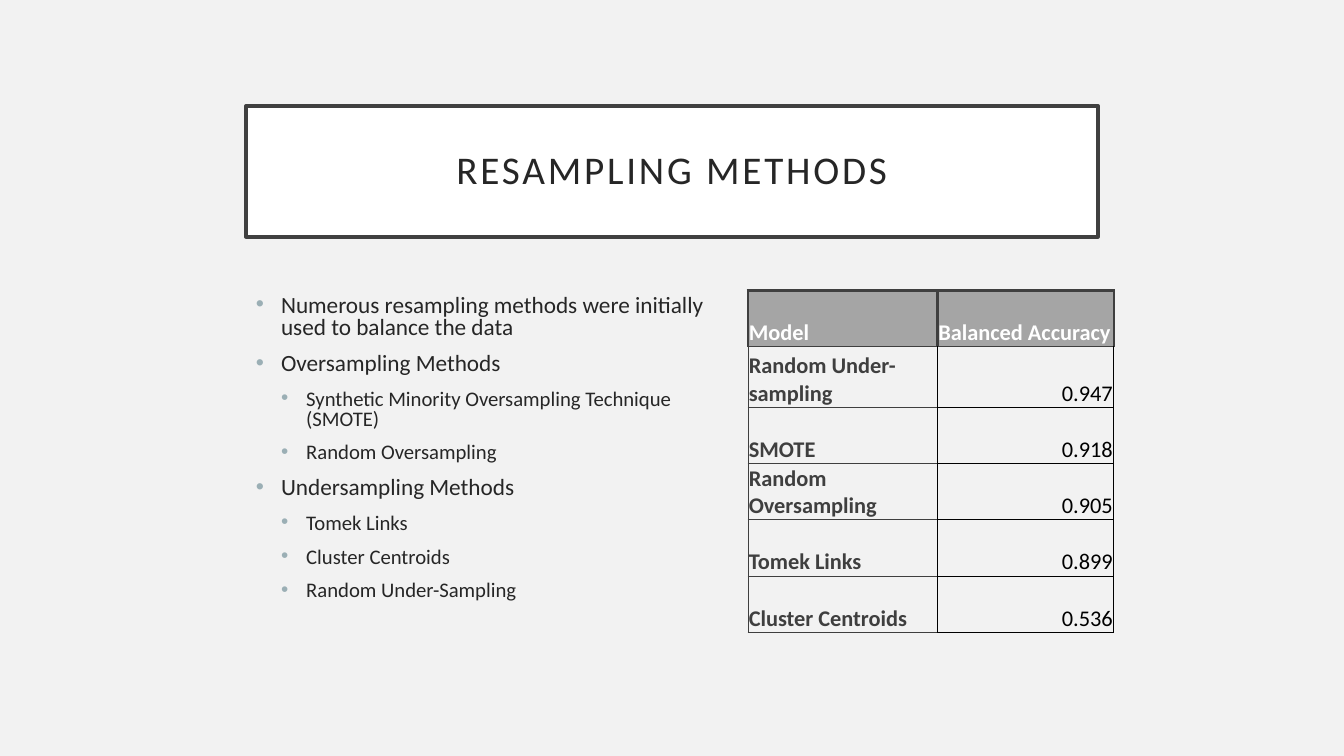
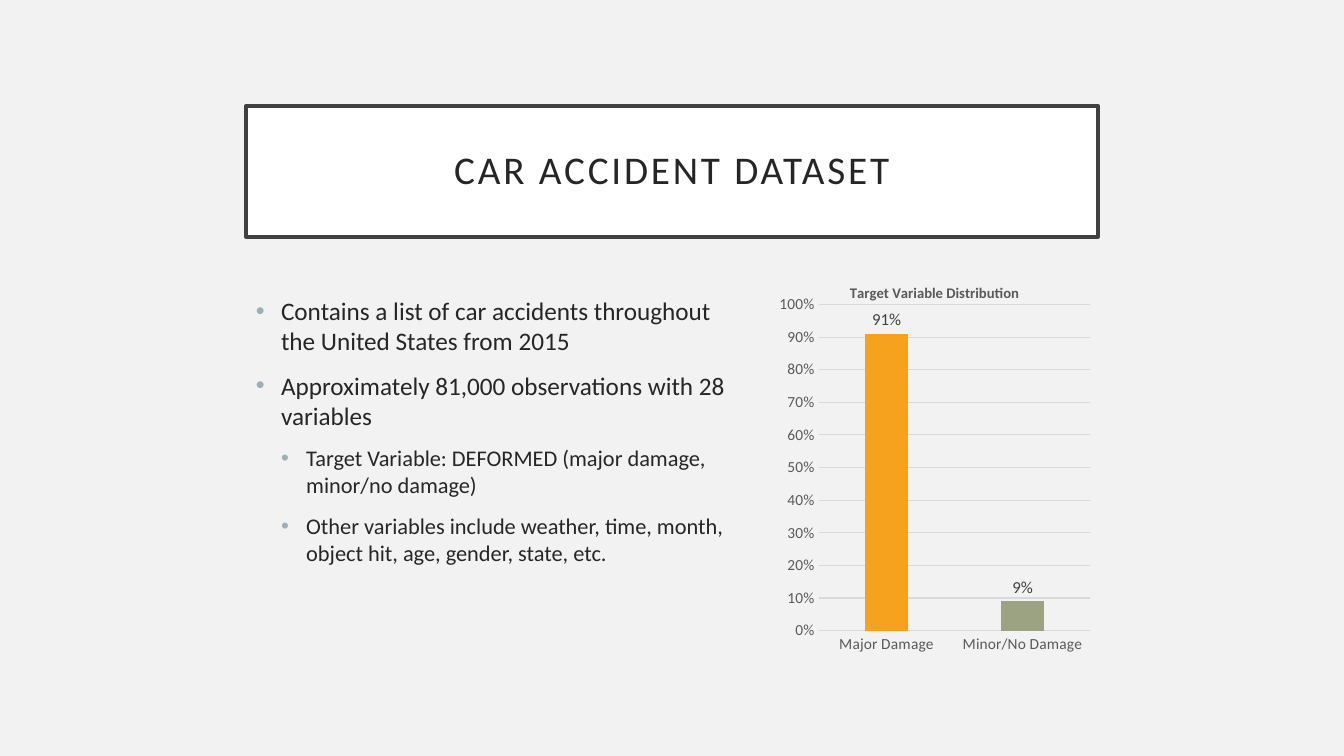
from lxml.etree import SubElement
from pptx import Presentation
from pptx.chart.data import CategoryChartData
from pptx.dml.color import RGBColor
from pptx.enum.chart import XL_CHART_TYPE, XL_LABEL_POSITION, XL_TICK_MARK
from pptx.enum.shapes import MSO_SHAPE
from pptx.enum.text import MSO_ANCHOR, PP_ALIGN
from pptx.oxml.ns import qn
from pptx.util import Pt

FONT = "Calibri"
PAPER = RGBColor(0xF2, 0xF2, 0xF2)
WHITE = RGBColor(0xFF, 0xFF, 0xFF)
BLACK = RGBColor(0x00, 0x00, 0x00)
FRAME = RGBColor(0x40, 0x40, 0x40)
INK = RGBColor(0x26, 0x26, 0x26)
BULLET = RGBColor(0x9B, 0xAF, 0xB5)
HEADER = RGBColor(0xA5, 0xA5, 0xA5)
RULE = RGBColor(0x3F, 0x3F, 0x3F)
GRID = RGBColor(0xD9, 0xD9, 0xD9)
AXIS = RGBColor(0x59, 0x59, 0x59)
ORANGE = RGBColor(0xF6, 0xA2, 0x1D)
SAGE = RGBColor(0x9C, 0xA3, 0x83)

LEFT, BODY_TOP, BODY_HEIGHT = 175.7, 207.4, 244.1
INDENT = 18


class Deck:
    """Shared slide style, with one method for each kind of element."""

    def __init__(self):
        self.prs = Presentation()
        self.prs.slide_width, self.prs.slide_height = Pt(960), Pt(540)

    def add_slide(self, title):
        self.s = self.prs.slides.add_slide(self.prs.slide_layouts[6])
        self.s.background.fill.solid()
        self.s.background.fill.fore_color.rgb = PAPER
        sp = self.s.shapes.add_shape(
            MSO_SHAPE.RECTANGLE, Pt(LEFT), Pt(75.6), Pt(608.6), Pt(93.6))
        sp.shadow.inherit = False
        sp.fill.solid()
        sp.fill.fore_color.rgb = WHITE
        sp.line.color.rgb = FRAME
        sp.line.width = Pt(2.5)
        tf = sp.text_frame
        tf.margin_left = tf.margin_right = tf.margin_top = tf.margin_bottom = Pt(14.4)
        tf.vertical_anchor = MSO_ANCHOR.MIDDLE
        tf.text = title
        p = tf.paragraphs[0]
        p.alignment = PP_ALIGN.CENTER
        p.line_spacing = 0.9
        self.style(p.runs[0].font, 28, INK)
        p.runs[0].font._element.set("spc", "200")

    def style(self, font, size, color, bold=False):
        font.name, font.size, font.bold = FONT, Pt(size), bold
        font.color.rgb = color

    def bullets(self, width, items, sizes, spacing):
        sp = self.s.shapes.add_textbox(
            Pt(LEFT), Pt(BODY_TOP), Pt(width), Pt(BODY_HEIGHT))
        tf = sp.text_frame
        tf.word_wrap = True
        for i, (level, text) in enumerate(items):
            p = tf.add_paragraph() if i else tf.paragraphs[0]
            p.text = text
            p.level = level
            p.line_spacing = spacing
            p.space_before = Pt(10)
            self.style(p.runs[0].font, sizes[level], INK)
            pPr = p._p.get_or_add_pPr()
            pPr.set("marL", str(Pt(INDENT * (level + 1))))
            pPr.set("indent", str(-Pt(INDENT)))
            color = SubElement(pPr, qn("a:buClr"))
            SubElement(color, qn("a:srgbClr"), val=str(BULLET))
            SubElement(pPr, qn("a:buFont"), typeface="Arial")
            SubElement(pPr, qn("a:buChar"), char="•")

    def border(self, cell, sides):
        tcPr = cell._tc.get_or_add_tcPr()
        for side, (color, width) in zip("LRTB", sides):
            ln = SubElement(tcPr, qn(f"a:ln{side}"), w=str(Pt(width)))
            fill = SubElement(ln, qn("a:solidFill"))
            SubElement(fill, qn("a:srgbClr"), val=str(color))

    def cell(self, cell, text, color, bold, align, fill, sides):
        cell.margin_left = cell.margin_right = cell.margin_top = Pt(0.7)
        cell.margin_bottom = Pt(0)
        cell.vertical_anchor = MSO_ANCHOR.BOTTOM
        self.border(cell, sides)
        if fill is None:
            cell.fill.background()
        else:
            cell.fill.solid()
            cell.fill.fore_color.rgb = fill
        cell.text_frame.text = text
        p = cell.text_frame.paragraphs[0]
        p.alignment = align
        self.style(p.runs[0].font, 16, color, bold)

    def table(self, header, rows, widths, heights):
        table = self.s.shapes.add_table(
            len(rows) + 1, len(header), Pt(534.2), Pt(BODY_TOP),
            Pt(sum(widths)), Pt(sum(heights))).table
        table.first_row = table.horz_banding = False
        for column, width in zip(table.columns, widths):
            column.width = Pt(width)
        for row, height in zip(table.rows, heights):
            row.height = Pt(height)
        thick, thin, black = (RULE, 2), (RULE, 0.5), (BLACK, 0.5)
        for c, (text, bottom) in enumerate(zip(header, (thin, black))):
            self.cell(table.cell(0, c), text, WHITE, True, PP_ALIGN.LEFT,
                      HEADER, (thick, thick, thick, bottom))
        for r, (model, score) in enumerate(rows, 1):
            top = thin if r == 1 else black
            self.cell(table.cell(r, 0), model, RULE, True, PP_ALIGN.LEFT,
                      PAPER, (thin, black, thin, thin))
            self.cell(table.cell(r, 1), score, BLACK, False, PP_ALIGN.RIGHT,
                      None, (black, black, top, black))

    def place(self, layout, **values):
        for child in list(layout):
            layout.remove(child)
        manual = SubElement(layout, qn("c:manualLayout"))
        for tag, value in values.items():
            SubElement(manual, qn(f"c:{tag}"), val=str(value))

    def column_chart(self, title, categories, values, colors):
        data = CategoryChartData(number_format="0%")
        data.categories = categories
        data.add_series("Series 1", values)
        chart = self.s.shapes.add_chart(
            XL_CHART_TYPE.COLUMN_CLUSTERED, Pt(528.5), Pt(189.4),
            Pt(255.6), Pt(280.8), data).chart
        self.style(chart.font, 10, BLACK)
        chart.has_legend = False
        tf = chart.chart_title.text_frame
        tf.text = title
        self.style(tf.paragraphs[0].runs[0].font, 10.5, AXIS, True)
        chart.chart_title.include_in_layout = False
        self.place(chart.chart_title._element.get_or_add_layout()
                   if hasattr(chart.chart_title._element, "get_or_add_layout")
                   else self.layout_after(chart.chart_title._element, 1),
                   xMode="edge", yMode="edge", x=0.3, y=0.04)
        plot = chart.plots[0]
        self.place(self.layout_after(plot._element.getparent(), 0),
                   layoutTarget="inner", xMode="edge", yMode="edge",
                   x=0.22, y=0.1, w=0.76, h=0.83)
        plot.gap_width, plot.overlap = 219, -27
        plot.vary_by_categories = False
        for axis in (chart.category_axis, chart.value_axis):
            axis.major_tick_mark = axis.minor_tick_mark = XL_TICK_MARK.NONE
            self.style(axis.tick_labels.font, 11, AXIS)
        chart.category_axis.format.line.color.rgb = GRID
        chart.category_axis.format.line.width = Pt(0.75)
        axis = chart.value_axis
        axis.minimum_scale, axis.maximum_scale, axis.major_unit = 0, 1, 0.1
        axis.tick_labels.number_format = "0%"
        axis.tick_labels.number_format_is_linked = False
        axis.format.line.fill.background()
        axis.major_gridlines.format.line.color.rgb = GRID
        axis.major_gridlines.format.line.width = Pt(0.75)
        series = plot.series[0]
        for i, color in enumerate(colors):
            fill = series.points[i].format.fill
            fill.solid()
            fill.fore_color.rgb = color
        labels = series.data_labels
        labels.show_value = True
        labels.position = XL_LABEL_POSITION.OUTSIDE_END
        labels.number_format = "0%"
        labels.number_format_is_linked = False
        self.style(labels.font, 12, FRAME)

    def layout_after(self, parent, index):
        layout = parent.find(qn("c:layout"))
        if layout is None:
            layout = SubElement(parent, qn("c:layout"))
            parent.insert(index, layout)
        return layout


def main():
    deck = Deck()
    deck.add_slide("RESAMPLING METHODS")
    deck.bullets(342.7, [
        (0, "Numerous resampling methods were initially used to balance the data"),
        (0, "Oversampling Methods"),
        (1, "Synthetic Minority Oversampling Technique (SMOTE)"),
        (1, "Random Oversampling"),
        (0, "Undersampling Methods"),
        (1, "Tomek Links"),
        (1, "Cluster Centroids"),
        (1, "Random Under-Sampling"),
    ], (16.6, 14.8), 0.8)
    deck.table(("Model", "Balanced Accuracy"), [
        ("Random Under-sampling", "0.947"),
        ("SMOTE", "0.918"),
        ("Random Oversampling", "0.905"),
        ("Tomek Links", "0.899"),
        ("Cluster Centroids", "0.536"),
    ], (135.4, 126), (40.2, 43.2, 40.2, 40.2, 40.2, 40.2))

    deck.add_slide("CAR ACCIDENT DATASET")
    deck.bullets(352.8, [
        (0, "Contains a list of car accidents throughout the United States from 2015"),
        (0, "Approximately 81,000 observations with 28 variables"),
        (1, "Target Variable: DEFORMED (major damage, minor/no damage)"),
        (1, "Other variables include weather, time, month, object hit, age, gender, state, etc."),
    ], (18, 16), 1.0)
    deck.column_chart("Target Variable Distribution",
                      ("Major Damage", "Minor/No Damage"),
                      (0.91, 0.09), (ORANGE, SAGE))
    deck.prs.save("out.pptx")


if __name__ == "__main__":
    main()
